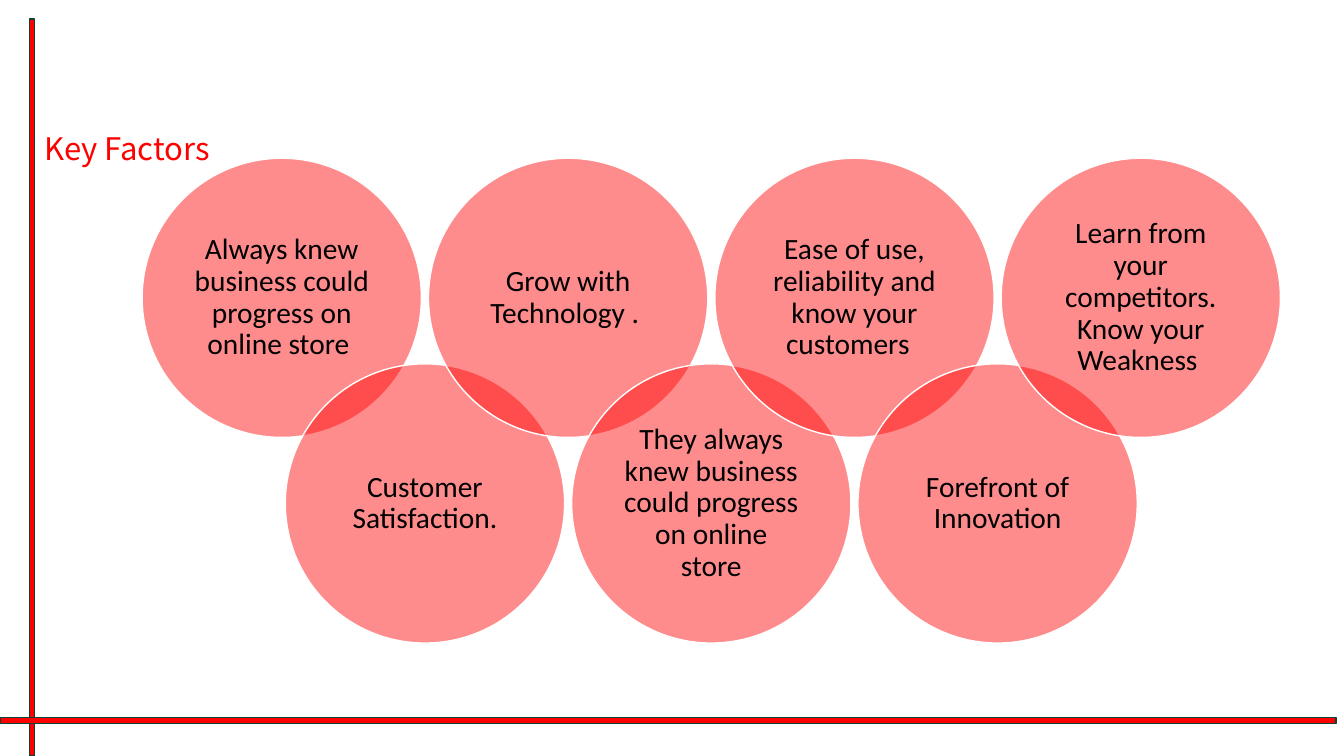
from lxml import etree
from pptx import Presentation, util as u
from pptx.dml import color
from pptx.enum import shapes, text
from pptx.oxml import ns

COLOURS = {"red": "FF0000", "green": "0D4335", "white": "FFFFFF", "black": "000000"}
FACTORS = [
    "Always knew business could progress on online store ",
    "Customer Satisfaction.",
    "Grow with Technology . ",
    "They always knew business could progress on online store",
    "Ease of use, reliability and know your customers  ",
    "Forefront of Innovation",
    "Learn from your competitors. Know your Weakness ",
]


class KeyFactorsSlide:
    """Grid of half-overlapping circles, with lengths in inches."""

    left, top = 1.41, 1.57
    column, row = 1.42, 2.04
    diameter = 2.77

    def __init__(self, deck):
        self.slide = deck.slides.add_slide(deck.slide_layouts[6])

    def colour(self, name):
        return color.RGBColor.from_string(COLOURS[name])

    def shape(self, kind, box, outline):
        shape = self.slide.shapes.add_shape(kind, *map(u.Inches, box))
        shape.shadow.inherit = False
        shape.fill.solid()
        shape.fill.fore_color.rgb = self.colour("red")
        shape.line.color.rgb = self.colour(outline)
        shape.line.width = u.Pt(1)
        return shape

    def bar(self, *box):
        self.shape(shapes.MSO_SHAPE.RECTANGLE, box, "green")

    def wording(self, frame, words, font, size, ink, spacing, align):
        """Fill a text frame with one styled paragraph."""
        frame.word_wrap = True
        paragraph = frame.paragraphs[0]
        paragraph.text = words
        paragraph.alignment = align
        paragraph.line_spacing = spacing
        paragraph.font.name = font
        paragraph.font.size = u.Pt(size)
        paragraph.font.color.rgb = self.colour(ink)

    def heading(self, words, *box):
        frame = self.slide.shapes.add_textbox(*map(u.Inches, box)).text_frame
        font = "Noto Sans CJK SC"
        self.wording(frame, words, font, 22.2, "red", 0.7, text.PP_ALIGN.LEFT)

    def circle(self, words, column, row):
        box = (self.left + column * self.column, self.top + row * self.row,
               self.diameter, self.diameter)
        circle = self.shape(shapes.MSO_SHAPE.OVAL, box, "white")
        tint = circle.element.spPr.find(ns.qn("a:solidFill")).find(ns.qn("a:srgbClr"))
        etree.SubElement(tint, ns.qn("a:alpha"), val="45000")
        frame = circle.text_frame
        frame.vertical_anchor = text.MSO_ANCHOR.MIDDLE
        frame.margin_left = frame.margin_right = u.Inches(0.09)
        frame.margin_top = frame.margin_bottom = u.Inches(0.09)
        self.wording(frame, words, "Calibri", 21, "black", 0.9, text.PP_ALIGN.CENTER)


def main():
    deck = Presentation()
    deck.slide_width, deck.slide_height = u.Inches(13.33), u.Inches(7.5)
    page = KeyFactorsSlide(deck)
    page.bar(0.29, 0.19, 0.05, 7.31)
    page.bar(0, 7.12, 13.25, 0.06)
    page.heading("Key Factors", 0.34, 1.34, 5.81, 0.35)
    for place, factor in enumerate(FACTORS):
        page.circle(factor, place, place % 2)
    deck.save("out.pptx")


if __name__ == "__main__":
    main()
